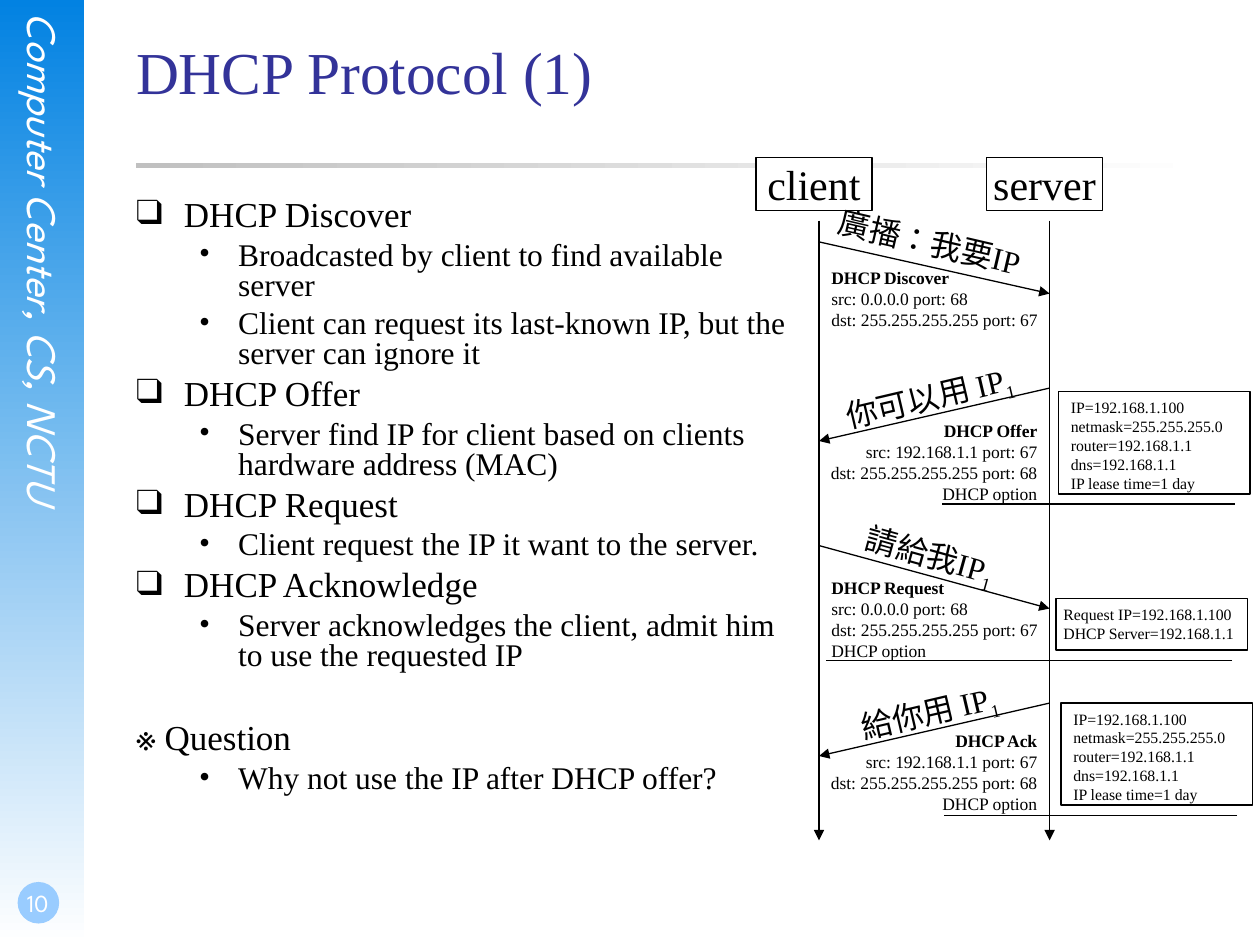
from pptx import Presentation
from pptx.dml.color import RGBColor
from pptx.enum.shapes import MSO_CONNECTOR, MSO_SHAPE
from pptx.enum.text import MSO_ANCHOR, PP_ALIGN
from pptx.oxml.ns import qn
from pptx.util import Inches, Pt
from lxml.etree import SubElement

BLACK = RGBColor(0x00, 0x00, 0x00)
WHITE = RGBColor(0xFF, 0xFF, 0xFF)
BAND_BLUE = RGBColor(0x02, 0x82, 0xE2)
BADGE_BLUE = RGBColor(0x99, 0xCC, 0xFF)
RULE_GREY = RGBColor(0xC0, 0xC0, 0xC0)
TITLE_BLUE = RGBColor(0x33, 0x33, 0x99)
SERIF = "Times New Roman"
BRAND_FONT = "League Spartan"
CLIENT_X, SERVER_X = 6.5, 8.33
PACKET_WIDTH = 1.9

# Level, bullet, text, extra space before in points
OUTLINE = [
    (0, "❑", "DHCP Discover", 0),
    (1, "•", "Broadcasted by client to find available server", 0),
    (1, "•", "Client can request its last-known IP, but the server can ignore it", 0),
    (0, "❑", "DHCP Offer", 0),
    (1, "•", "Server find IP for client based on clients hardware address (MAC)", 0),
    (0, "❑", "DHCP Request", 0),
    (1, "•", "Client request the IP it want to the server.", 0),
    (0, "❑", "DHCP Acknowledge", 0),
    (1, "•", "Server acknowledges the client, admit him to use the requested IP", 0),
    (0, None, "※ Question", 24),
    (1, "•", "Why not use the IP after DHCP offer?", 0),
]

FROM_CLIENT = ["src: 0.0.0.0 port: 68", "dst: 255.255.255.255 port: 67"]
FROM_SERVER = ["src: 192.168.1.1 port: 67", "dst: 255.255.255.255 port: 68", "DHCP option"]
# Sent by client, arrow top and bottom, saying, subscript, rotation, saying top,
# packet name, packet lines, packet top and height
MESSAGES = [
    (True, 1.92, 2.33, "廣播：我要IP", "", 13.2, 1.72,
     "DHCP Discover", FROM_CLIENT, 2.08, 0.58),
    (False, 3.08, 3.5, "你可以用 IP", "1", -13.2, 2.97,
     "DHCP Offer", FROM_SERVER, 3.33, 0.67),
    (True, 4.33, 4.83, "請給我IP", "1", 15.7, 4.22,
     "DHCP Request", FROM_CLIENT + ["DHCP option"], 4.58, 0.67),
    (False, 5.58, 6, "給你用 IP", "1", -13.2, 5.47,
     "DHCP Ack", FROM_SERVER, 5.79, 0.67),
]

LEASE = ["IP=192.168.1.100", "netmask=255.255.255.0", "router=192.168.1.1",
         "dns=192.168.1.1", "IP lease time=1 day"]
REQUEST = ["Request IP=192.168.1.100", "DHCP Server=192.168.1.1"]
# Left, top, height, lines, side inset, callout line y and end x
CALLOUTS = [
    (8.4, 3.11, 0.81, LEASE, 0.1, 1.1, -0.61),
    (8.38, 4.75, 0.41, REQUEST, 0.06, 1.2, -1.2),
    (8.42, 5.58, 0.81, LEASE, 0.1, 1.1, -0.61),
]


def add_span(para, text, size, color=BLACK, font=SERIF, bold=False, italic=False):
    span = para.add_run()
    span.text = text
    span.font.size, span.font.name = Pt(size), font
    span.font.color.rgb = color
    span.font.bold, span.font.italic = bold, italic
    return span


def set_frame(frame, anchor=MSO_ANCHOR.TOP, wrap=True, insets=(0.1, 0.05, 0.1, 0.05)):
    frame.word_wrap, frame.vertical_anchor = wrap, anchor
    (frame.margin_left, frame.margin_top,
     frame.margin_right, frame.margin_bottom) = map(Inches, insets)
    return frame


def add_text_box(page, left, top, width, height, **settings):
    box = page.shapes.add_textbox(*map(Inches, (left, top, width, height)))
    set_frame(box.text_frame, **settings)
    return box


def add_plain_shape(page, kind, left, top, width, height, fill=None, outlined=False):
    shape = page.shapes.add_shape(kind, *map(Inches, (left, top, width, height)))
    shape.shadow.inherit = False
    if fill is None:
        shape.fill.background()
    else:
        shape.fill.solid()
        shape.fill.fore_color.rgb = fill
    if outlined:
        shape.line.color.rgb, shape.line.width = BLACK, Pt(0.75)
    else:
        shape.line.fill.background()
    return shape


def fade_to_white(shape, color, angle):
    shape.fill.gradient()
    shape.fill.gradient_angle = angle
    for stop, stop_color in zip(shape.fill.gradient_stops, (color, WHITE)):
        stop.color.rgb = stop_color


def add_arrow(page, x1, y1, x2, y2):
    arrow = page.shapes.add_connector(
        MSO_CONNECTOR.STRAIGHT, *map(Inches, (x1, y1, x2, y2)))
    arrow.line.color.rgb, arrow.line.width = BLACK, Pt(0.75)
    SubElement(arrow.line._get_or_add_ln(), qn("a:tailEnd"), type="triangle")
    SubElement(arrow._element.spPr, qn("a:effectLst"))


def add_lines(frame, lines, size, align=PP_ALIGN.LEFT, bold_first=False):
    for index, line in enumerate(lines):
        para = frame.paragraphs[0] if index == 0 else frame.add_paragraph()
        para.alignment = align
        add_span(para, line, size, bold=bold_first and index == 0)


def add_side_band(page):
    band = add_plain_shape(page, MSO_SHAPE.RECTANGLE, 0, 0, 0.67, 7.5)
    fade_to_white(band, BAND_BLUE, 270)
    name = add_text_box(page, 0.15, 0.1, 0.4, 5.11, insets=(0, 0, 0, 0))
    name.text_frame._txBody.bodyPr.set("vert", "eaVert")
    add_span(name.text_frame.paragraphs[0], "Computer Center, CS, NCTU", 24,
             WHITE, BRAND_FONT, italic=True)
    add_plain_shape(page, MSO_SHAPE.OVAL, 0.14, 7, 0.33, 0.33, BADGE_BLUE)
    number = add_text_box(page, 0, 6.83, 0.58, 0.5, anchor=MSO_ANCHOR.BOTTOM,
                          insets=(0.02, 0, 0, 0.05))
    para = number.text_frame.paragraphs[0]
    para.alignment = PP_ALIGN.CENTER
    add_span(para, "10", 14, WHITE, BRAND_FONT)


def add_title(page, text):
    rule = add_plain_shape(page, MSO_SHAPE.RECTANGLE, 1.08, 1.29, 8.5, 0.04)
    fade_to_white(rule, RULE_GREY, 0)
    title = page.shapes.title
    title.left, title.top, title.width, title.height = map(Inches, (1.08, 0.28, 8.5, 1.25))
    para = set_frame(title.text_frame, insets=(0, 0, 0, 0)).paragraphs[0]
    para.alignment = PP_ALIGN.LEFT
    add_span(para, text, 34, TITLE_BLUE)


def add_outline(page):
    frame = add_text_box(page, 1.08, 1.59, 5.25, 5.17, insets=(0, 0, 0, 0)).text_frame
    for index, (level, bullet, text, extra) in enumerate(OUTLINE):
        para = frame.add_paragraph() if index else frame.paragraphs[0]
        indent, hanging, size, gap = [(0.38, 0.38, 20, 5), (0.81, 0.31, 18, 4.5)][level]
        para.level, para.line_spacing = level, 0.8
        if index:
            para.space_before = Pt(gap + extra)
        properties = para._p.get_or_add_pPr()
        properties.set("marL", str(Inches(indent)))
        properties.set("indent", str(-Inches(hanging)))
        if bullet:
            SubElement(properties, qn("a:buFont"), typeface=SERIF)
            SubElement(properties, qn("a:buChar"), char=bullet)
        else:
            SubElement(properties, qn("a:buNone"))
        add_span(para, text, size)


def add_lifeline(page, name, x):
    add_arrow(page, x, 1.75, x, 6.67)
    head = add_plain_shape(page, MSO_SHAPE.RECTANGLE, x - 0.5, 1.25, 0.92, 0.42, WHITE, True)
    set_frame(head.text_frame, MSO_ANCHOR.MIDDLE, wrap=False)
    add_lines(head.text_frame, [name], 24, PP_ALIGN.CENTER)


def add_message(page, by_client, start, end, saying, subscript, rotation, saying_top,
                packet, lines, packet_top, packet_height):
    ends = (CLIENT_X, SERVER_X) if by_client else (SERVER_X, CLIENT_X)
    add_arrow(page, ends[0], start, ends[1], end)
    label = add_text_box(page, 6.38, saying_top, 2, 0.4, anchor=MSO_ANCHOR.MIDDLE)
    label.rotation = rotation
    add_lines(label.text_frame, [saying], 18, PP_ALIGN.CENTER)
    para = label.text_frame.paragraphs[0]
    para.runs[0].font._element.set("lang", "zh-TW")
    if subscript:
        add_span(para, subscript, 18).font._element.set("baseline", "-25000")
    left, align = ((CLIENT_X, PP_ALIGN.LEFT) if by_client
                   else (SERVER_X - PACKET_WIDTH, PP_ALIGN.RIGHT))
    details = add_text_box(page, left, packet_top, PACKET_WIDTH, packet_height,
                           anchor=MSO_ANCHOR.MIDDLE)
    add_lines(details.text_frame, [packet] + lines, 10, align, bold_first=True)


def add_callout(page, left, top, height, lines, inset, line_y, line_end):
    callout = add_plain_shape(page, MSO_SHAPE.LINE_CALLOUT_1, left, top, 1.52, height,
                              outlined=True)
    for index, value in enumerate((line_y, 0.92, line_y, line_end)):
        callout.adjustments[index] = value
    set_frame(callout.text_frame, insets=(inset, 0.05, inset, 0.05))
    add_lines(callout.text_frame, lines, 9)


def main():
    deck = Presentation()
    deck.slide_width, deck.slide_height = Inches(10), Inches(7.5)
    page = deck.slides.add_slide(deck.slide_layouts[5])
    add_side_band(page)
    add_title(page, "DHCP Protocol (1)")
    add_outline(page)
    add_lifeline(page, "client", CLIENT_X)
    add_lifeline(page, "server", SERVER_X)
    for message in MESSAGES:
        add_message(page, *message)
    for callout in CALLOUTS:
        add_callout(page, *callout)
    deck.save("out.pptx")


if __name__ == "__main__":
    main()
